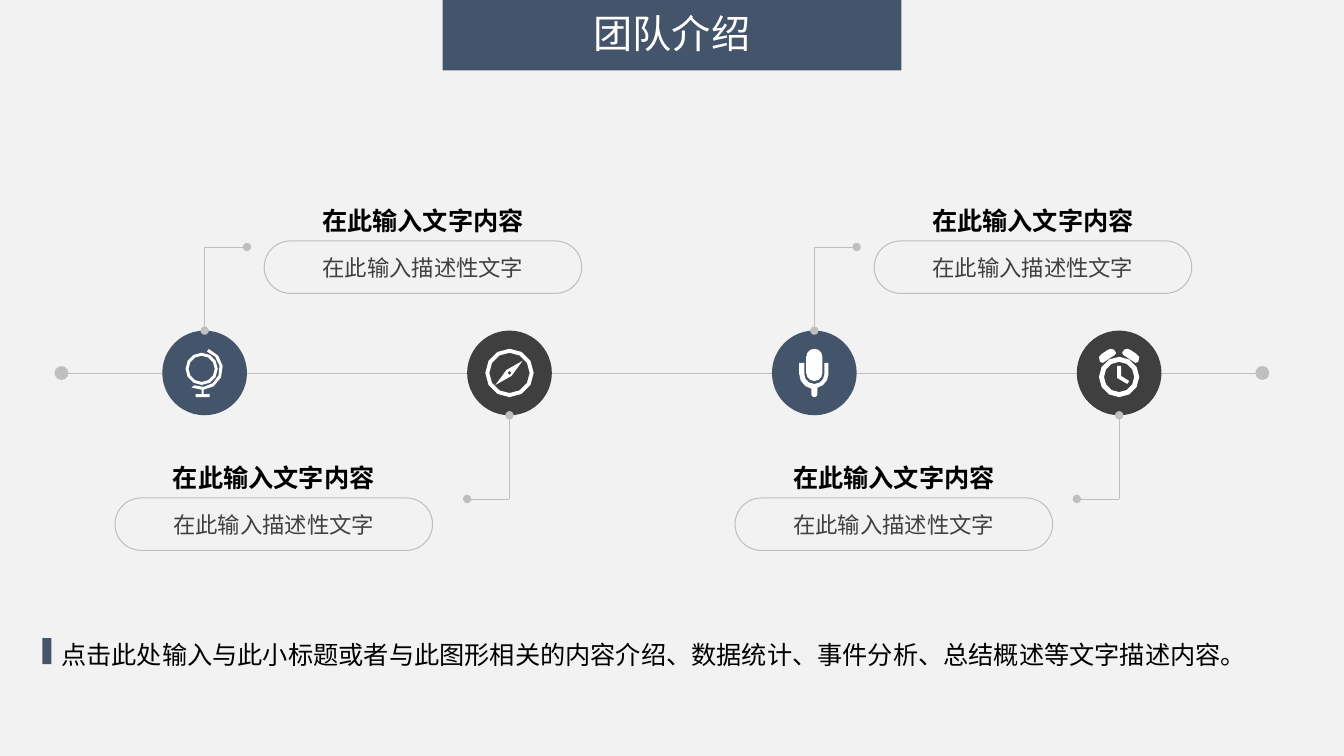
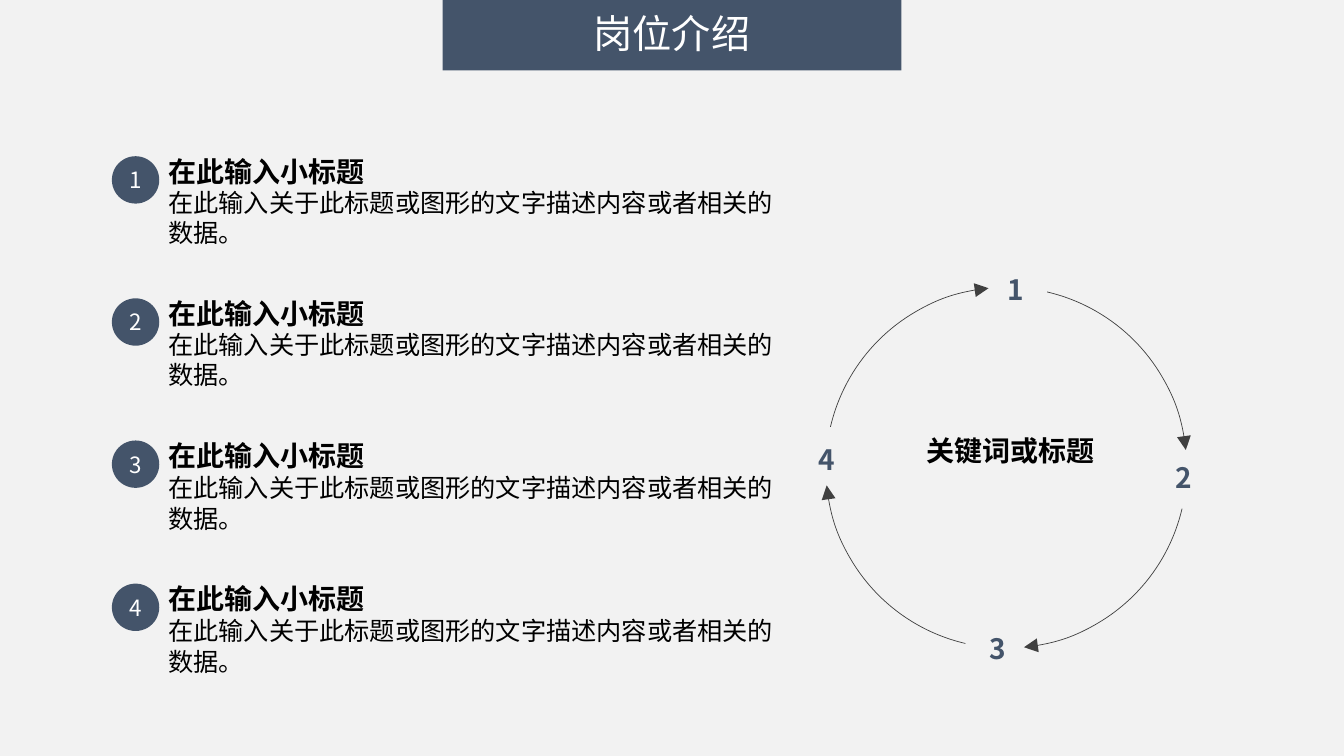
import math
from dataclasses import dataclass
from typing import Optional

from lxml import etree
from pptx import Presentation
from pptx import util as u
from pptx.dml.color import RGBColor
from pptx.enum import shapes, text
from pptx.oxml.ns import qn

FONT = "Noto Sans CJK SC"
NAVY = RGBColor(0x44, 0x54, 0x6A)
CHARCOAL = RGBColor(0x3F, 0x3F, 0x3F)
DARK_GRAY = RGBColor(0x40, 0x40, 0x40)
RULE_GRAY = RGBColor(0xBF, 0xBF, 0xBF)
PAPER = RGBColor(0xF2, 0xF2, 0xF2)
BLACK = RGBColor(0, 0, 0)
WHITE = RGBColor(0xFF, 0xFF, 0xFF)

SHAPE = shapes.MSO_SHAPE
CENTER = text.PP_ALIGN.CENTER
LEFT = text.PP_ALIGN.LEFT
MIDDLE = text.MSO_ANCHOR.MIDDLE

Point = tuple[float, float]
Contour = list[Point]


@dataclass(frozen=True)
class Style:
    size: float
    color: RGBColor = BLACK
    bold: bool = False
    align: text.PP_ALIGN = CENTER
    spacing: Optional[float] = None


@dataclass(frozen=True)
class Node:
    color: RGBColor
    label_left: float
    side: int  # -1 puts the label above the line, 1 below
    icon: list[Contour]


@dataclass(frozen=True)
class Step:
    number: str
    top: float
    body_top: float
    ring_left: float
    ring_top: float


TITLE = Style(28, WHITE, spacing=0.9)
HEADING = Style(18, bold=True)
CAPTION = Style(16, DARK_GRAY)
SUMMARY = Style(18, align=LEFT, spacing=1.25)
BADGE = Style(16, WHITE)
STEP_HEADING = Style(20, bold=True, align=LEFT)
STEP_BODY = Style(18, align=LEFT)
RING_NUMBER = Style(20, NAVY, bold=True)
RING_TITLE = Style(20, bold=True)


# Shared drawing helpers; a parent is a slide or a group
def write(shape, words: str, style: Style, wrap: bool = True, anchor=None) -> None:
    frame = shape.text_frame
    frame.word_wrap = wrap
    if anchor is not None:
        frame.vertical_anchor = anchor
    para = frame.paragraphs[0]
    para.text = words
    para.alignment = style.align
    if style.spacing is not None:
        para.line_spacing = style.spacing
    font = para.font
    font.name, font.size, font.bold = FONT, u.Pt(style.size), style.bold
    font.color.rgb = style.color
    defaults = para._p.pPr.find(qn("a:defRPr"))
    etree.SubElement(defaults, qn("a:ea")).set("typeface", FONT)


def add_text(parent, left: float, top: float, width: float, height: float,
             words: str, style: Style) -> None:
    box = parent.shapes.add_textbox(*map(u.Inches, (left, top, width, height)))
    write(box, words, style)
    box.text_frame.auto_size = text.MSO_AUTO_SIZE.SHAPE_TO_FIT_TEXT


def paint(shape, fill: Optional[RGBColor], line: Optional[RGBColor], weight: float) -> None:
    shape.shadow.inherit = False
    if fill is None:
        shape.fill.background()
    else:
        shape.fill.solid()
        shape.fill.fore_color.rgb = fill
    if line is None:
        shape.line.fill.background()
    else:
        shape.line.color.rgb = line
        shape.line.width = u.Pt(weight)


def add_shape(parent, kind, left: float, top: float, width: float, height: float,
              fill: Optional[RGBColor] = None, line: Optional[RGBColor] = None,
              weight: float = 0.75):
    shape = parent.shapes.add_shape(kind, *map(u.Inches, (left, top, width, height)))
    paint(shape, fill, line, weight)
    return shape


def add_line_end(shape, end: str, kind: str, size: str = "med") -> None:
    line = shape._element.spPr.find(qn("a:ln"))
    mark = etree.SubElement(line, qn(f"a:{end}"))
    for name, value in (("type", kind), ("w", size), ("len", size)):
        mark.set(name, value)


def add_rule(page, start: Point, stop: Point, dot: Optional[str] = None,
             size: str = "med") -> None:
    rule = page.shapes.add_connector(
        shapes.MSO_CONNECTOR.STRAIGHT, *map(u.Inches, (*start, *stop)))
    rule.line.color.rgb = RULE_GRAY
    rule.line.width = u.Pt(0.5)
    if dot:
        add_line_end(rule, dot, "oval", size)
    etree.SubElement(rule._element.spPr, qn("a:effectLst"))


# Icon outlines, in inches from the centre of their disc
def arc(x: float, y: float, radius: float, start: float, stop: float) -> Contour:
    count = max(2, round(abs(stop - start) / 30))
    angles = [math.radians(start + (stop - start) * i / count) for i in range(count + 1)]
    return [(x + radius * math.cos(a), y + radius * math.sin(a)) for a in angles]


def ring(x: float, y: float, outer: float, inner: float) -> list[Contour]:
    return [arc(x, y, radius, 0, 330) for radius in (outer, inner)]


def mirror(contour: Contour) -> Contour:
    return [(-x, y) for x, y in contour]


GLOBE = [
    *ring(-0.03, -0.04, 0.16, 0.13),
    arc(-0.03, -0.04, 0.21, -70, 118) + arc(-0.03, -0.04, 0.18, 115, -73),
    [(-0.03, 0.17), (-0.01, 0.17), (-0.01, 0.21), (0.05, 0.21),
     (0.05, 0.24), (-0.09, 0.24), (-0.09, 0.21), (-0.03, 0.21)],
]
COMPASS = [
    *ring(0, 0, 0.24, 0.2),
    [(0.13, -0.12), (0.02, 0.03), (-0.14, 0.12), (-0.03, -0.03)],
    [(0.02, 0), (0, 0.02), (-0.02, 0), (0, -0.02)],
]
MICROPHONE = [
    [(-0.15, -0.1), (-0.1, -0.1)] + arc(0, 0.01, 0.1, 180, 0)
    + [(0.1, -0.1), (0.14, -0.1)] + arc(0, 0.01, 0.14, 0, 78)
    + arc(0, 0.21, 0.03, 0, 180) + arc(0, 0.01, 0.15, 101, 180),
    arc(0, -0.16, 0.08, 180, 360) + arc(0, 0, 0.08, 0, 180),
]
BELL = [(0.08, -0.24), (0.11, -0.23), (0.17, -0.19), (0.2, -0.16), (0.19, -0.11),
        (0.16, -0.1), (0.04, -0.18), (0.03, -0.2), (0.05, -0.23)]
ALARM_CLOCK = [
    [(-0.02, -0.07), (0.02, -0.07), (0.02, 0.03), (0.1, 0.08), (0.08, 0.11), (-0.02, 0.05)],
    *ring(0, 0.04, 0.2, 0.15),
    BELL,
    mirror(BELL),
]


def add_icon(page, x: float, y: float, contours: list[Contour]) -> None:
    placed = [[(u.Inches(x + dx), u.Inches(y + dy)) for dx, dy in contour]
              for contour in contours]
    builder = page.shapes.build_freeform(*placed[0][0])
    for index, contour in enumerate(placed):
        if index:
            builder.move_to(*contour[0])
        builder.add_line_segments(contour[1:], close=True)
    paint(builder.convert_to_shape(), WHITE, None, 0)


# Pages
def add_page(deck, layout, title: str):
    page = deck.slides.add_slide(layout)
    holder = page.shapes.title
    holder.left, holder.top = u.Inches(4.95), u.Inches(0.09)
    holder.width, holder.height = u.Inches(3.43), u.Inches(0.53)
    write(holder, title, TITLE, wrap=False, anchor=MIDDLE)
    holder.text_frame.auto_size = text.MSO_AUTO_SIZE.NONE
    return page


def add_title_band(page, layout) -> None:
    """Draw the band once and hand it to the layout, behind its placeholders."""
    band = add_shape(page, SHAPE.RECTANGLE, 4.39, 0, 4.55, 0.7, NAVY)
    layout.shapes.element.insert(2, band._element)


NODES = [
    Node(NAVY, 2.62, -1, GLOBE),
    Node(CHARCOAL, 1.14, 1, COMPASS),
    Node(NAVY, 8.67, -1, MICROPHONE),
    Node(CHARCOAL, 7.29, 1, ALARM_CLOCK),
]
AXIS_Y, FIRST_X, LAST_X, RADIUS = 3.7, 2.03, 11.1, 0.42


def add_node(page, x: float, node: Node) -> None:
    add_shape(page, SHAPE.OVAL, x - RADIUS, AXIS_Y - RADIUS, 2 * RADIUS, 2 * RADIUS, node.color)
    add_icon(page, x, AXIS_Y, node.icon)
    # Elbow from the disc towards its label
    edge, corner = AXIS_Y + node.side * RADIUS, AXIS_Y + node.side * 1.25
    add_rule(page, (x, edge), (x, corner), "headEnd")
    add_rule(page, (x, corner), (x - node.side * RADIUS, corner), "tailEnd")
    # Label
    top = 1.99 if node.side < 0 else 4.54
    add_text(page, node.label_left, top, 3.15, 0.4, "在此输入文字内容", HEADING)
    pill = add_shape(page, SHAPE.ROUNDED_RECTANGLE, node.label_left, top + 0.4, 3.15, 0.52,
                     line=RULE_GRAY)
    pill.adjustments[0] = 0.5
    write(pill, "在此输入描述性文字", CAPTION, anchor=MIDDLE)


def fill_team_page(page) -> None:
    gap = (LAST_X - FIRST_X) / (len(NODES) - 1)
    centers = [FIRST_X + gap * i for i in range(len(NODES))]
    # Timeline segments between the discs
    first, last = FIRST_X - RADIUS, LAST_X + RADIUS
    add_rule(page, (first - 1, AXIS_Y), (first, AXIS_Y), "headEnd", "lg")
    add_rule(page, (last, AXIS_Y), (last + 1, AXIS_Y), "tailEnd", "lg")
    for x, following in zip(centers, centers[1:]):
        add_rule(page, (x + RADIUS, AXIS_Y), (following - RADIUS, AXIS_Y))
    for x, node in zip(centers, NODES):
        add_node(page, x, node)
    # Summary line with its marker
    add_text(page, 0.51, 6.22, 12.39, 0.45,
             "点击此处输入与此小标题或者与此图形相关的内容介绍、数据统计、"
             "事件分析、总结概述等文字描述内容。", SUMMARY)
    add_shape(page, SHAPE.RECTANGLE, 0.42, 6.33, 0.09, 0.26, NAVY)


STEPS = [
    Step("1", 1.48, 1.81, 9.78, 2.57),
    Step("2", 2.89, 3.22, 11.45, 4.44),
    Step("3", 4.3, 4.64, 9.6, 6.14),
    Step("4", 5.72, 6.06, 7.91, 4.26),
]


def add_step(page, step: Step) -> None:
    badge = add_shape(page, SHAPE.OVAL, 1.11, step.top + 0.07, 0.47, 0.47, NAVY)
    write(badge, step.number, BADGE, wrap=False, anchor=MIDDLE)
    add_text(page, 1.57, step.top, 4.66, 0.44, "在此输入小标题", STEP_HEADING)
    add_text(page, 1.57, step.body_top, 6.34, 0.71,
             "在此输入关于此标题或图形的文字描述内容或者相关的数据。", STEP_BODY)


def add_cycle(page) -> None:
    cycle = page.shapes.add_group_shape()
    # Four arrows, a quarter turn apart
    for turn in range(4):
        arrow = add_shape(cycle, SHAPE.ARC, 8.19, 2.85, 3.58, 3.58, line=DARK_GRAY, weight=0.5)
        # An angle adjustment counts 0.6 per degree
        arrow.adjustments[0] = 283.11 * 0.6
        arrow.adjustments[1] = 354.37 * 0.6
        arrow.rotation = 90 * turn
        add_line_end(arrow, "tailEnd", "triangle", "lg")
    for step in STEPS:
        mark = add_shape(cycle, SHAPE.OVAL, step.ring_left, step.ring_top, 0.59, 0.59)
        write(mark, step.number, RING_NUMBER, wrap=False, anchor=MIDDLE)
    add_text(cycle, 9.06, 4.25, 1.93, 0.44, "关键词或标题", RING_TITLE)


def main() -> None:
    deck = Presentation()
    deck.slide_width, deck.slide_height = u.Inches(13.33), u.Inches(7.5)
    background = deck.slide_master.background.fill
    background.solid()
    background.fore_color.rgb = PAPER
    layout = deck.slide_layouts[5]
    team = add_page(deck, layout, "团队介绍")
    add_title_band(team, layout)
    fill_team_page(team)
    roles = add_page(deck, layout, "岗位介绍")
    for step in STEPS:
        add_step(roles, step)
    add_cycle(roles)
    deck.save("out.pptx")


if __name__ == "__main__":
    main()
